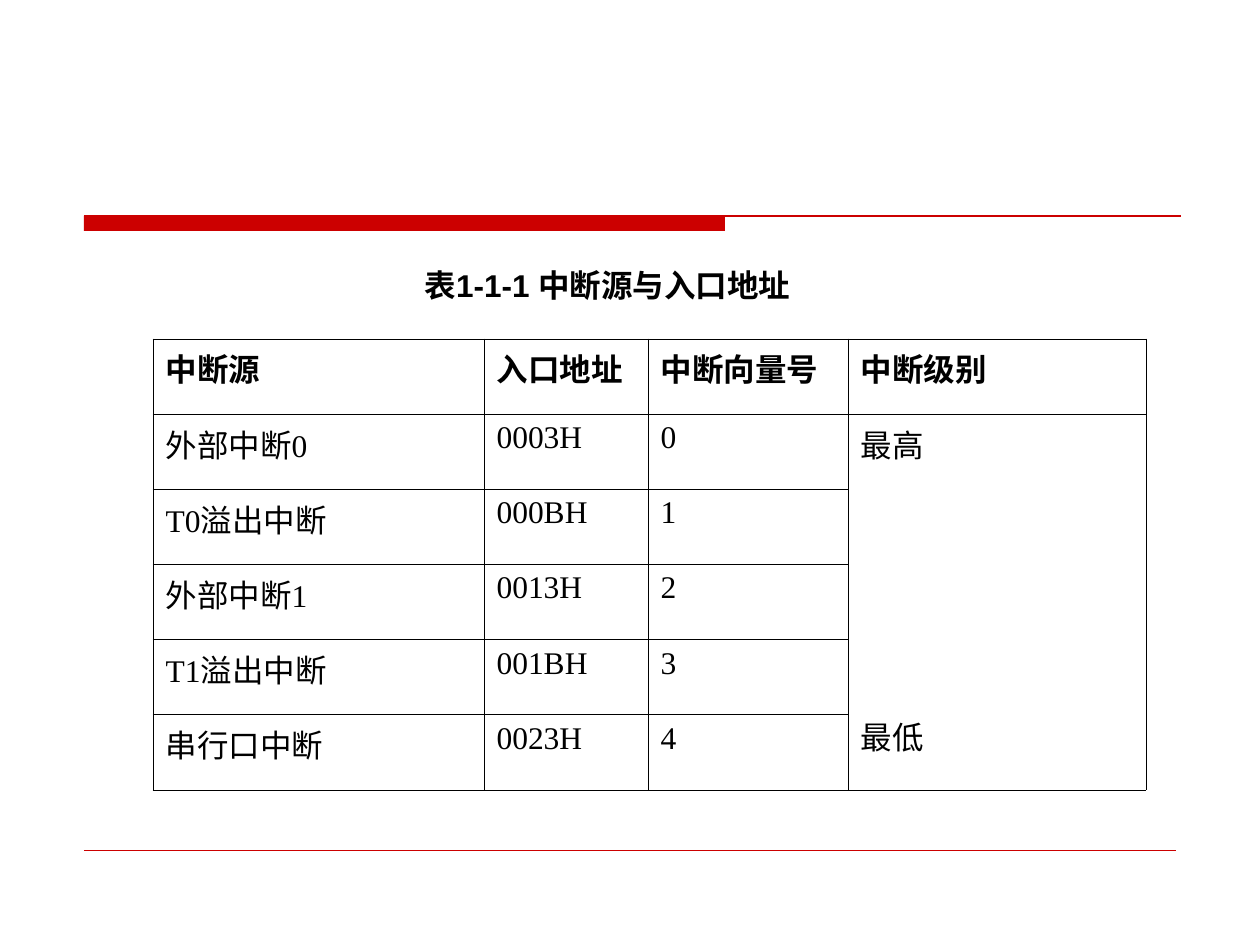
import lxml.etree
import pptx
import pptx.dml.color
import pptx.enum.shapes
import pptx.enum.text
import pptx.oxml.ns
import pptx.util

PX = 914400 / 126
RED = pptx.dml.color.RGBColor(0xCC, 0x00, 0x00)
BLACK = pptx.dml.color.RGBColor(0x00, 0x00, 0x00)
CAPTION = "表1-1-1 中断源与入口地址"
COLUMN_WIDTHS = [331, 164, 200, 298]
ROWS = [
    ["中断源", "入口地址", "中断向量号", "中断级别"],
    ["外部中断0", "0003H", "0", "最高\n最低"],
    ["T0溢出中断", "000BH", "1", ""],
    ["外部中断1", "0013H", "2", ""],
    ["T1溢出中断", "001BH", "3", ""],
    ["串行口中断", "0023H", "4", ""],
]


def px(length):
    """Turn a length in px into EMU."""
    return pptx.util.Emu(round(length * PX))


def format_text(text_frame, font_name, bold):
    """Give every run of a text frame the slide's text style."""
    for paragraph in text_frame.paragraphs:
        paragraph.alignment = pptx.enum.text.PP_ALIGN.LEFT
        for run in paragraph.runs:
            run.font.name = font_name
            run.font.size = pptx.util.Pt(18)
            run.font.bold = bold
            run.font.color.rgb = BLACK


def add_rule(slide, left, top, width, weight):
    """Draw a horizontal red rule."""
    rule = slide.shapes.add_connector(
        pptx.enum.shapes.MSO_CONNECTOR.STRAIGHT,
        px(left), px(top), px(left + width), px(top))
    rule.line.color.rgb = RED
    rule.line.width = pptx.util.Pt(weight)
    properties = rule._element.spPr
    lxml.etree.SubElement(properties, pptx.oxml.ns.qn("a:effectLst"))


def add_header_bar(slide, left, top, width, height):
    """Draw the thick bar with the thin rule along its top edge."""
    bar = slide.shapes.add_shape(
        pptx.enum.shapes.MSO_SHAPE.RECTANGLE,
        px(left), px(top), px(641), px(height))
    bar.shadow.inherit = False
    bar.fill.solid()
    bar.fill.fore_color.rgb = RED
    bar.line.fill.background()
    add_rule(slide, left, top, width, 0.75)


def place_caption(slide, left, top, width, height):
    """Use the title placeholder for the table caption."""
    title = slide.shapes.title
    title.left, title.top = px(left), px(top)
    title.width, title.height = px(width), px(height)
    text_frame = title.text_frame
    text_frame.text = CAPTION
    text_frame.word_wrap = True
    text_frame.vertical_anchor = pptx.enum.text.MSO_ANCHOR.MIDDLE
    format_text(text_frame, "Arial", True)


def add_borders(cell):
    """Draw thin black lines on all four sides of a cell."""
    properties = cell._tc.get_or_add_tcPr()
    for side in ("lnL", "lnR", "lnT", "lnB"):
        line = lxml.etree.SubElement(
            properties, pptx.oxml.ns.qn("a:" + side), w=str(pptx.util.Pt(0.45)))
        fill = lxml.etree.SubElement(line, pptx.oxml.ns.qn("a:solidFill"))
        lxml.etree.SubElement(
            fill, pptx.oxml.ns.qn("a:srgbClr"), val=str(BLACK))


def add_interrupt_table(slide, left, top, width, height):
    """Add the table of interrupt sources and entry addresses."""
    table = slide.shapes.add_table(
        len(ROWS), len(COLUMN_WIDTHS),
        px(left), px(top), px(width), px(height)).table
    table.first_row = False
    table.horz_banding = False
    for column, column_width in zip(table.columns, COLUMN_WIDTHS):
        column.width = px(column_width)
    for row_index, texts in enumerate(ROWS):
        table.rows[row_index].height = px(height / len(ROWS))
        for column_index, text in enumerate(texts):
            cell = table.cell(row_index, column_index)
            add_borders(cell)
            cell.fill.background()
            cell.text_frame.text = text
            format_text(cell.text_frame, "Times New Roman", row_index == 0)
    level_cell = table.cell(1, 3)
    level_cell.merge(table.cell(len(ROWS) - 1, 3))
    level_cell.text_frame.paragraphs[1].space_before = pptx.util.Pt(141)


def main():
    """Build and save the slide."""
    presentation = pptx.Presentation()
    presentation.slide_width = px(1260)
    presentation.slide_height = px(945)
    slide = presentation.slides.add_slide(presentation.slide_layouts[5])
    add_header_bar(slide, 84, 216, 1097, 15)
    add_rule(slide, 84, 850, 1092, 0.25)
    place_caption(slide, 412, 260, 442, 50)
    add_interrupt_table(slide, 153, 339, sum(COLUMN_WIDTHS), 451)
    presentation.save("out.pptx")


if __name__ == "__main__":
    main()
